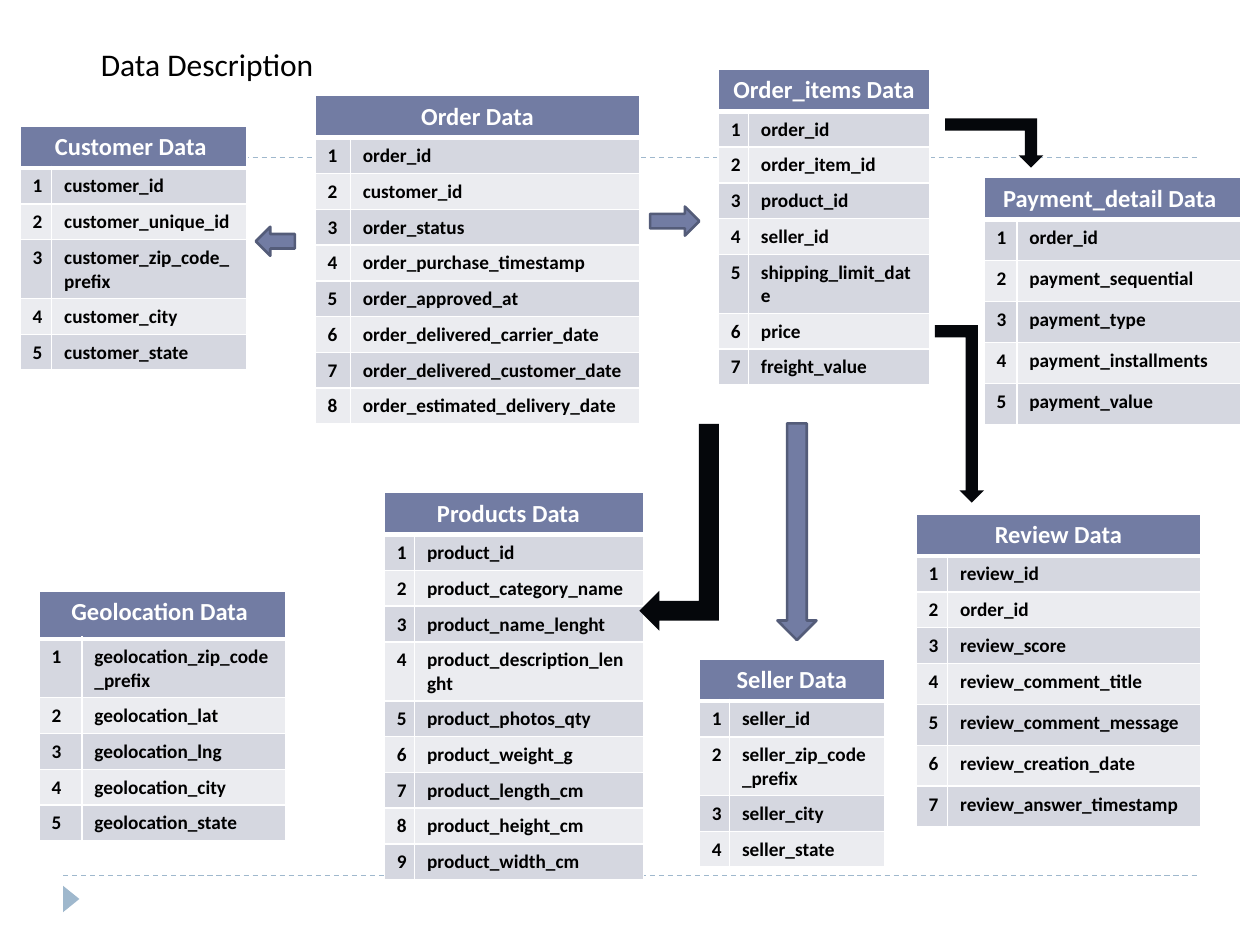
from lxml import etree
from pptx import Presentation
from pptx import util as u
from pptx.dml.color import RGBColor
from pptx.enum import dml, shapes, text

HUES = {"head": "727CA3", "odd": "D5D7E0", "even": "EBECF0", "edge": "545C79",
        "dark": "05070B", "pale": "9FB8CD", "white": "FFFFFF", "black": "000000"}
FONT = "Calibri"
DRAW = "{http://schemas.openxmlformats.org/drawingml/2006/main}"

deck = Presentation()
deck.slide_width, deck.slide_height = u.Inches(10), u.Inches(7.5)
unit = deck.slide_width / 100
slide = deck.slides.add_slide(deck.slide_layouts[5])
items = slide.shapes


def grid(*cells):
    return [round(cell * unit) for cell in cells]


def hue(name):
    return RGBColor.from_string(HUES[name])


title = items.title
title.left, title.top, title.width, title.height = grid(7, 3.1, 35.9, 4)
frame = title.text_frame
frame.text = "Data Description"
frame.vertical_anchor = text.MSO_ANCHOR.TOP
frame.auto_size = text.MSO_AUTO_SIZE.SHAPE_TO_FIT_TEXT
para = frame.paragraphs[0]
para.alignment = text.PP_ALIGN.LEFT
para.font.name, para.font.size = FONT, u.Pt(18)
para.font.color.rgb = hue("black")

for row in (69.5, 12.5):
    rule = items.add_connector(shapes.MSO_CONNECTOR.STRAIGHT, *grid(5, row, 95, row))
    rule.line.color.rgb = hue("pale")
    rule.line.width = u.Pt(0.75)
    rule.line.dash_style = dml.MSO_LINE.DASH
    etree.SubElement(rule._element.spPr, DRAW + "effectLst")

tables = [
    ("Customer Data ", (1.6, 10), (2.5, 15.5), [3.3] + [2.6] * 5,
     "customer_id customer_unique_id customer_zip_code_prefix customer_city customer_state"),
    ("Geolocation Data ", (3.1, 46.9), (3.4, 16.2), [3.8] + [2.8] * 5,
     "geolocation_zip_code_prefix geolocation_lat geolocation_lng geolocation_city "
     "geolocation_state"),
    ("Order_items Data ", (57, 5.5), (2.3, 14.4), [2.7] * 8,
     "order_id order_item_id product_id seller_id shipping_limit_date price freight_value"),
    ("Payment_detail Data ", (78.1, 14.1), (2.6, 17.8), [3.25] * 6,
     "order_id payment_sequential payment_type payment_installments payment_value"),
    ("Order Data", (25, 7.6), (2.8, 23), [2.8] * 9,
     "order_id customer_id order_status order_purchase_timestamp order_approved_at "
     "order_delivered_carrier_date order_delivered_customer_date "
     "order_estimated_delivery_date"),
    ("Review Data", (72.7, 40.8), (2.5, 20.1), [2.6] * 4 + [3.25] * 4,
     "review_id order_id review_score review_comment_title review_comment_message "
     "review_creation_date review_answer_timestamp"),
    ("Products Data  ", (30.5, 39.1), (2.3, 18.2), [2.9] + [2.5] * 9,
     "product_id product_category_name product_name_lenght product_description_lenght "
     "product_photos_qty product_weight_g product_length_cm product_height_cm "
     "product_width_cm"),
    ("Seller Data", (55.5, 52.3), (2.3, 12.3), [2.8] * 5,
     "seller_id seller_zip_code_prefix seller_city seller_state"),
]
for name, spot, cols, rows, fields in tables:
    table = items.add_table(len(rows), 2, *grid(*spot, sum(cols), sum(rows))).table
    for col, width in zip(table.columns, grid(*cols)):
        col.width = width
    for row, height in zip(table.rows, grid(*rows)):
        row.height = height
    table.cell(0, 0).merge(table.cell(0, 1))
    lines = [(name, "")] + [(str(n), field) for n, field in enumerate(fields.split(), 1)]
    for r, line in enumerate(lines):
        for c, words in enumerate(line):
            cell = table.cell(r, c)
            props = cell._tc.get_or_add_tcPr()
            for side in "LRTB":
                thick = 3 if (r, side) in ((0, "B"), (1, "T")) else 1
                edge = etree.SubElement(props, DRAW + "ln" + side, w=str(u.Pt(thick)))
                fill = etree.SubElement(edge, DRAW + "solidFill")
                etree.SubElement(fill, DRAW + "srgbClr", val=HUES["white"])
            cell.fill.solid()
            cell.fill.fore_color.rgb = hue("head" if r == 0 else "odd" if r % 2 else "even")
            cell.text = words
            para = cell.text_frame.paragraphs[0]
            para.font.name, para.font.bold = FONT, True
            para.font.size = u.Pt(11 if r else 14)
            para.font.color.rgb = hue("black" if r else "white")
            if r == 0:
                para.alignment = text.PP_ALIGN.CENTER

kind = shapes.MSO_SHAPE
marks = [
    (kind.ISOSCELES_TRIANGLE, (4.6, 70.7, 2.1, 1.3), 90, False, "pale", None),
    (kind.RIGHT_ARROW, (20.3, 18, 3.1, 2.3), 180, False, "head", "edge"),
    (kind.RIGHT_ARROW, (51.6, 16.4, 3.9, 2.3), 0, False, "head", "edge"),
    (kind.BENT_UP_ARROW, (75, 9.4, 7.8, 3.9), 0, True, "dark", None),
    (kind.BENT_UP_ARROW, (74.2, 25.8, 3.9, 14.1), 0, True, "dark", None),
    (kind.DOWN_ARROW, (61.7, 33.6, 3.1, 17.2), 0, False, "head", "edge"),
    (kind.BENT_UP_ARROW, (45.7, 38.7, 16.4, 6.3), 90, True, "dark", None),
]
for form, box, turn, flip, fill, edge in marks:
    mark = items.add_shape(form, *grid(*box))
    mark.shadow.inherit = False
    mark.rotation = turn
    if flip:
        mark._element.spPr.xfrm.set("flipV", "1")
    mark.fill.solid()
    mark.fill.fore_color.rgb = hue(fill)
    if edge:
        mark.line.color.rgb = hue(edge)
        mark.line.width = u.Pt(1.5)
    else:
        mark.line.fill.background()

deck.save("out.pptx")
